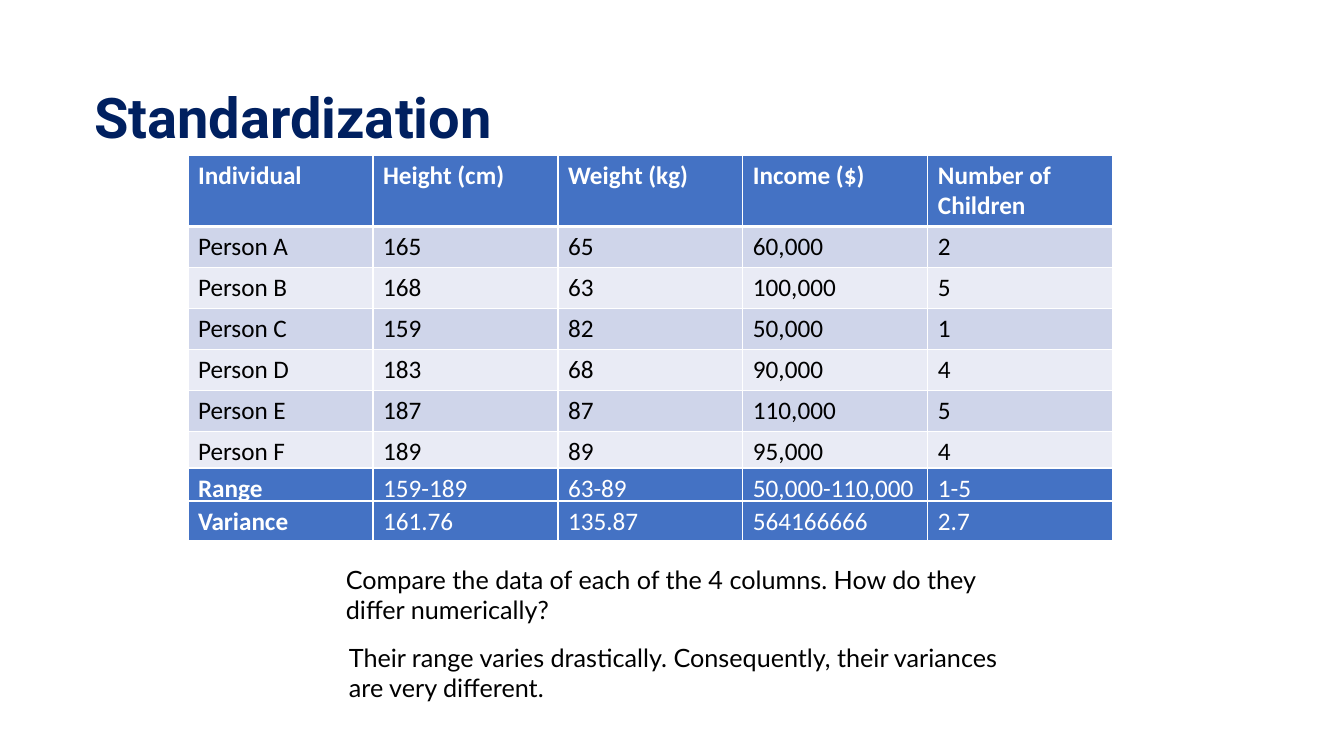
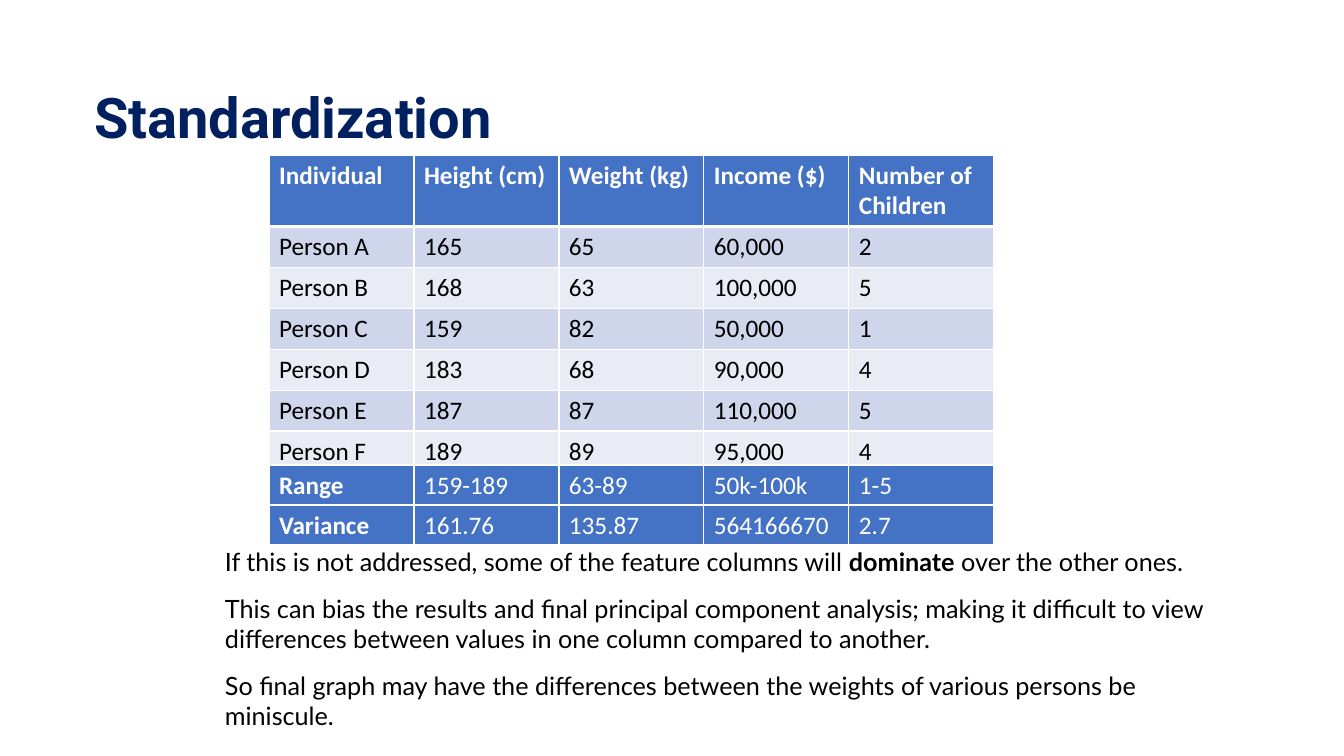
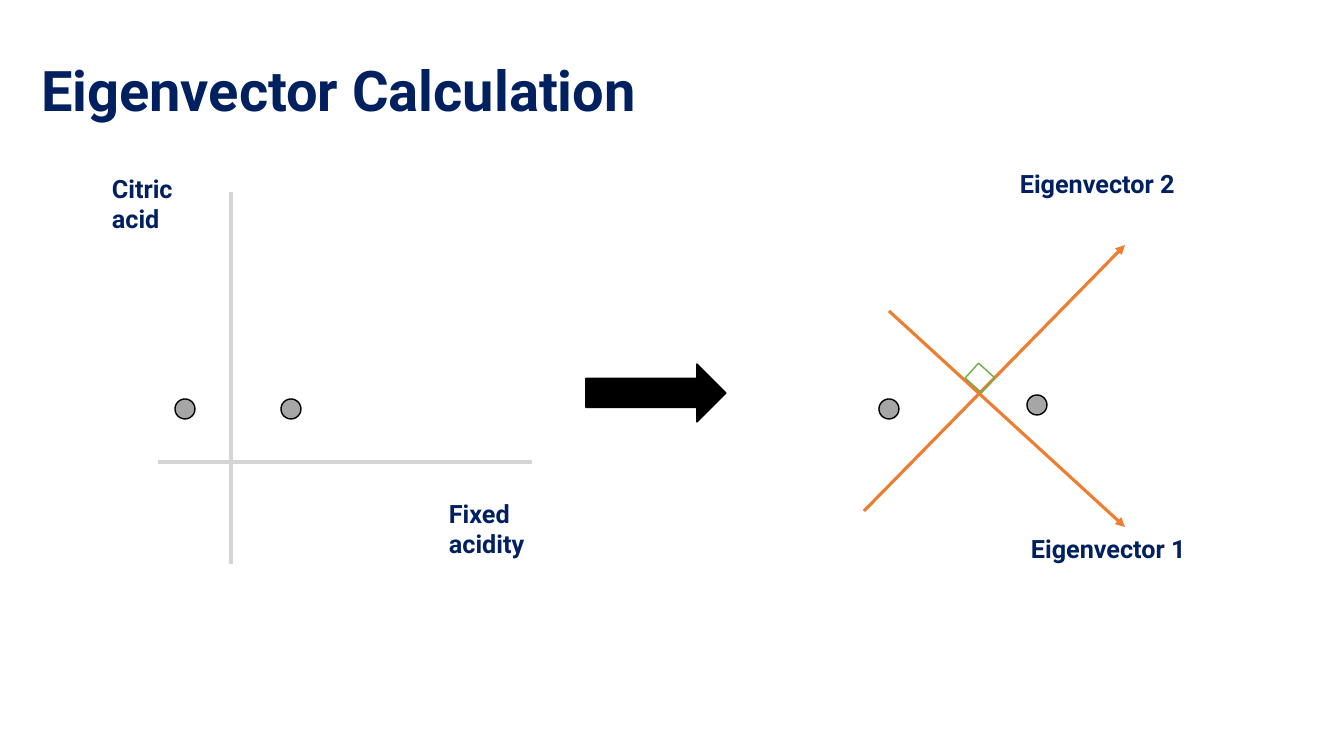
from lxml.etree import SubElement
from pptx import Presentation
from pptx.dml.color import RGBColor
from pptx.enum.shapes import MSO_CONNECTOR, MSO_SHAPE
from pptx.enum.text import MSO_ANCHOR, MSO_AUTO_SIZE, PP_ALIGN
from pptx.oxml.ns import qn
from pptx.util import Emu, Pt

EMU_PER_PX = 914400 / 100.8
SLIDE_SIZE = (1344, 756)
COLORS = {
    "navy": "002060", "black": "000000", "white": "FFFFFF",
    "header": "4472C4", "band_dark": "CFD5EA", "band_light": "E9EBF5",
    "vector": "ED7D31", "axis": "D5D5D5", "dot": "A6A6A6", "right_angle": "70AD47",
}
TITLE_LAYOUT = 5

# Tables
PEOPLE = [
    ("Individual", "Height (cm)", "Weight (kg)", "Income ($)", "Number of Children"),
    ("Person A", "165", "65", "60,000", "2"),
    ("Person B", "168", "63", "100,000", "5"),
    ("Person C", "159", "82", "50,000", "1"),
    ("Person D", "183", "68", "90,000", "4"),
    ("Person E", "187", "87", "110,000", "5"),
    ("Person F", "189", "89", "95,000", "4"),
]
TABLE_TOP, HEADER_HEIGHT = 155, 70

# Text between ** marks is bold; boxes are left, top, width, height
STANDARDIZATION = [
    {
        "left": 188, "column": 185, "row": 41,
        "summary": [
            (468, ("Range", "159-189", "63-89", "50,000-110,000", "1-5")),
            (501, ("Variance", "161.76", "135.87", "564166666", "2.7")),
        ],
        "notes": [
            ((336, 559, 671, 75), [
                "Compare the data of each of the 4 columns. How do they differ numerically?"]),
            ((339, 637, 671, 75), [
                "Their range varies drastically. Consequently, their variances are very different."]),
        ],
    },
    {
        "left": 269, "column": 145, "row": 40,
        "summary": [
            (465, ("Range", "159-189", "63-89", "50k-100k", "1-5")),
            (505, ("Variance", "161.76", "135.87", "564166670", "2.7")),
        ],
        "notes": [
            ((215, 541, 1017, 205), [
                "If this is not addressed, some of the feature columns will **dominate** "
                "over the other ones.",
                "This can bias the results and final principal component analysis; making it "
                "difficult to view differences between values in one column compared to another.",
                "So final graph may have the differences between the weights of various persons "
                "be miniscule."]),
        ],
    },
]

# Eigenvector diagram
VECTORS = [((864, 511), (1125, 245)), ((889, 311), (1125, 527))]
AXES = [((231, 564), (231, 192)), ((158, 462), (532, 462))]
DOT_SIZE = 20
DOT_CENTERS = [(1037, 405), (889, 409), (291, 409), (185, 409)]
RIGHT_ANGLE_BOX, RIGHT_ANGLE_TURN = (969, 368, 22, 20), 42
ARROW_BOX = (586, 364, 140, 58)
LABELS = [
    ("Fixed acidity", (439, 493, 113, 72)),
    ("Citric acid", (102, 168, 129, 72)),
    ("Eigenvector 1", (1021, 528, 193, 40)),
    ("Eigenvector 2", (1010, 163, 193, 40)),
]


def px(*lengths):
    return [Emu(round(length * EMU_PER_PX)) for length in lengths]


def color(name):
    return RGBColor.from_string(COLORS[name])


def style(paragraph, font_name, size, color_name, bold=None):
    font = paragraph.font
    font.name, font.size, font.bold = font_name, Pt(size), bold
    font.color.rgb = color(color_name)


def add_titled_slide(deck, title, box):
    page = deck.slides.add_slide(deck.slide_layouts[TITLE_LAYOUT])
    holder = page.shapes.title
    holder.left, holder.top, holder.width, holder.height = px(*box)
    frame = holder.text_frame
    frame.text = title
    frame.auto_size = MSO_AUTO_SIZE.NONE
    frame.vertical_anchor = MSO_ANCHOR.TOP
    paragraph = frame.paragraphs[0]
    paragraph.alignment = PP_ALIGN.LEFT
    style(paragraph, "Roboto", 40, "navy", True)
    return page


def add_text(page, box, texts, font_name, color_name, bold=None):
    frame = page.shapes.add_textbox(*px(*box)).text_frame
    frame.word_wrap = True
    for index, text in enumerate(texts):
        paragraph = frame.add_paragraph() if index else frame.paragraphs[0]
        paragraph.space_after = Pt(12 if len(texts) > 1 else 0)
        style(paragraph, font_name, 18, color_name, bold)
        for part, words in enumerate(text.split("**")):
            span = paragraph.add_run()
            span.text = words
            if part % 2:
                span.font.bold = True


def set_borders(cell, bottom_width):
    properties = cell._tc.get_or_add_tcPr()
    sides = [("a:lnL", 1), ("a:lnR", 1), ("a:lnT", 1), ("a:lnB", bottom_width)]
    for index, (tag, width) in enumerate(sides):
        line = properties.makeelement(qn(tag), {"w": str(Pt(width))})
        properties.insert(index, line)
        fill = SubElement(line, qn("a:solidFill"))
        SubElement(fill, qn("a:srgbClr"), val=COLORS["white"])


def add_grid(page, left, top, column_width, row_heights, rows, all_bold_header):
    """Add a table whose first row is blue; only its first cell is bold in a summary."""
    size = (column_width * len(rows[0]), sum(row_heights))
    table = page.shapes.add_table(len(rows), len(rows[0]), *px(left, top, *size)).table
    for column in table.columns:
        column.width = px(column_width)[0]
    for row_index, (values, height) in enumerate(zip(rows, row_heights)):
        table.rows[row_index].height = px(height)[0]
        is_header = row_index == 0
        band = "header" if is_header else "band_dark" if row_index % 2 else "band_light"
        for column_index, value in enumerate(values):
            cell = table.cell(row_index, column_index)
            cell.text = value
            cell.fill.solid()
            cell.fill.fore_color.rgb = color(band)
            set_borders(cell, 3 if is_header else 1)
            bold = is_header and (all_bold_header or column_index == 0)
            style(cell.text_frame.paragraphs[0], "Calibri", 18,
                  "white" if is_header else "black", bold)


def add_line(page, start, end, color_name, width, arrow=False):
    connector = page.shapes.add_connector(MSO_CONNECTOR.STRAIGHT, *px(*start, *end))
    connector.line.color.rgb = color(color_name)
    connector.line.width = Pt(width)
    if arrow:
        SubElement(connector.line._get_or_add_ln(), qn("a:tailEnd"), type="triangle")
    SubElement(connector._element.spPr, qn("a:effectLst"))


def add_figure(page, preset, box, fill_name, line_name):
    shape = page.shapes.add_shape(preset, *px(*box))
    shape.shadow.inherit = False
    if fill_name:
        shape.fill.solid()
        shape.fill.fore_color.rgb = color(fill_name)
    else:
        shape.fill.background()
    shape.line.color.rgb = color(line_name)
    shape.line.width = Pt(1)
    return shape


def add_standardization_slide(deck, content):
    page = add_titled_slide(deck, "Standardization", (84, 77, 606, 78))
    left, column, row = content["left"], content["column"], content["row"]
    heights = [HEADER_HEIGHT] + [row] * (len(PEOPLE) - 1)
    add_grid(page, left, TABLE_TOP, column, heights, PEOPLE, True)
    for top, values in content["summary"]:
        add_grid(page, left, top, column, [row], [values], False)
    for box, texts in content["notes"]:
        add_text(page, box, texts, "Lato", "black")


def add_eigenvector_slide(deck):
    page = add_titled_slide(deck, "Eigenvector Calculation", (31, 50, 904, 78))
    for start, end in VECTORS:
        add_line(page, start, end, "vector", 2.25, arrow=True)
    for start, end in AXES:
        add_line(page, start, end, "axis", 3)
    for x, y in DOT_CENTERS:
        box = (x - DOT_SIZE / 2, y - DOT_SIZE / 2, DOT_SIZE, DOT_SIZE)
        add_figure(page, MSO_SHAPE.OVAL, box, "dot", "black")
    right_angle = add_figure(page, MSO_SHAPE.RECTANGLE, RIGHT_ANGLE_BOX, None, "right_angle")
    right_angle.rotation = RIGHT_ANGLE_TURN
    add_figure(page, MSO_SHAPE.RIGHT_ARROW, ARROW_BOX, "black", "black")
    for text, box in LABELS:
        add_text(page, box, [text], "Roboto", "navy", True)


def main():
    deck = Presentation()
    deck.slide_width, deck.slide_height = px(*SLIDE_SIZE)
    for content in STANDARDIZATION:
        add_standardization_slide(deck, content)
    add_eigenvector_slide(deck)
    deck.save("out.pptx")


if __name__ == "__main__":
    main()
